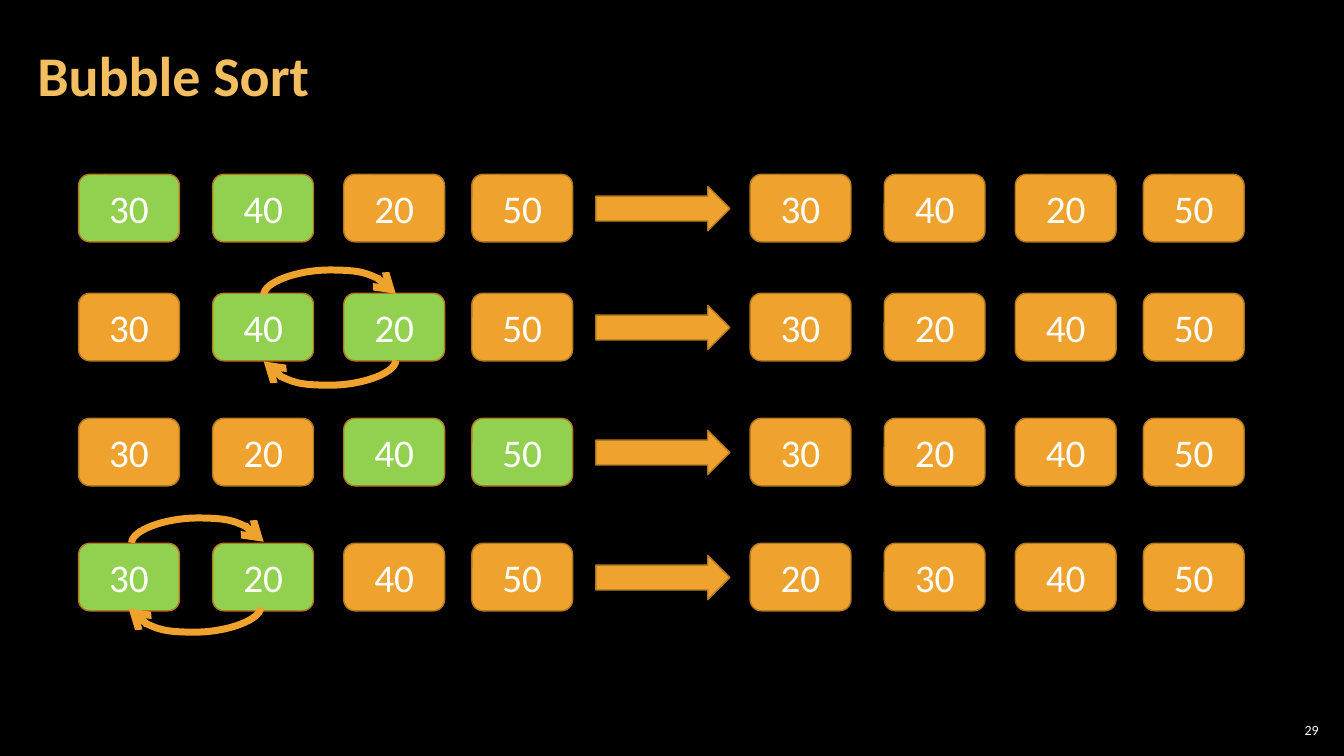
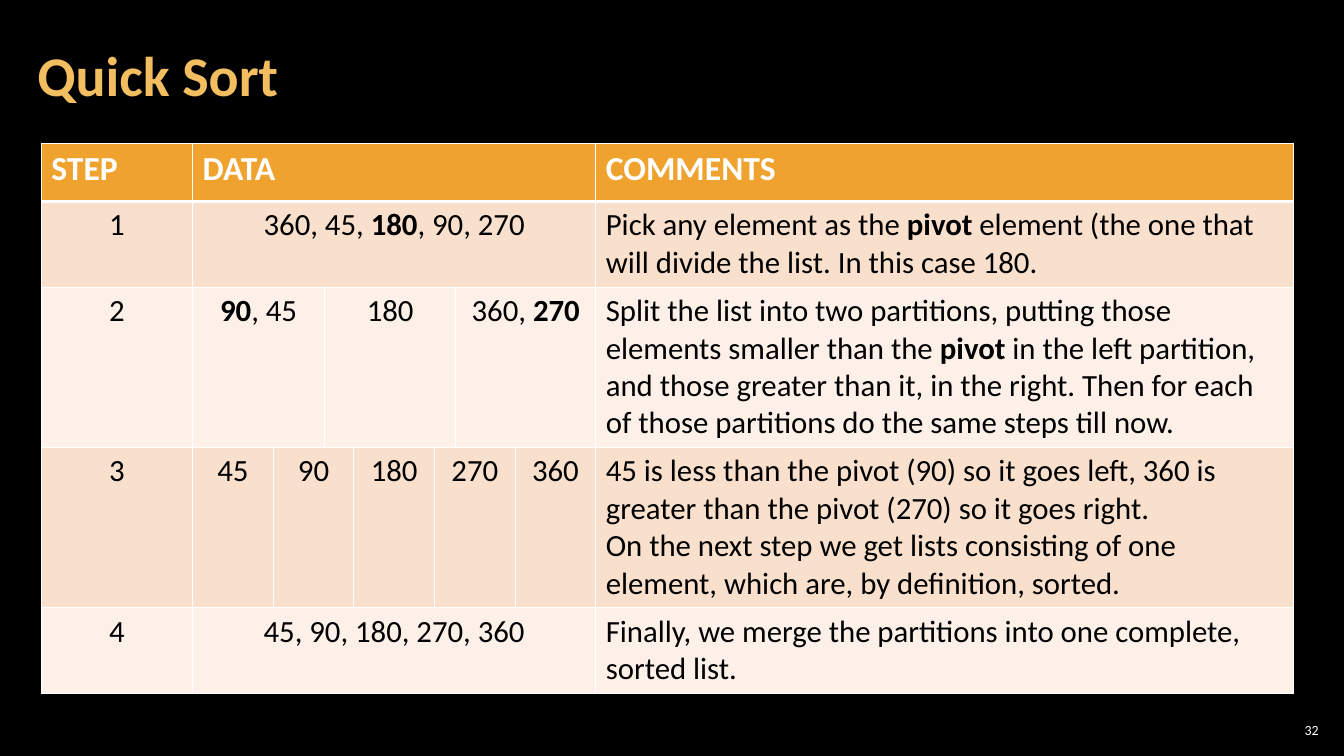
from lxml import etree
from pptx import Presentation
from pptx.dml.color import RGBColor
from pptx.enum.shapes import MSO_CONNECTOR, MSO_SHAPE
from pptx.enum.text import MSO_ANCHOR, PP_ALIGN
from pptx.oxml.ns import qn
from pptx.util import Inches, Pt

CURVE = MSO_CONNECTOR.CURVE
ROUNDED, ARROW = MSO_SHAPE.ROUNDED_RECTANGLE, MSO_SHAPE.RIGHT_ARROW
MIDDLE = MSO_ANCHOR.MIDDLE
LEFT, CENTER, RIGHT = PP_ALIGN.LEFT, PP_ALIGN.CENTER, PP_ALIGN.RIGHT

FONT = "Calibri"
BLACK, WHITE = "000000", "FFFFFF"
ORANGE, DARK_ORANGE, GOLD, GREEN = "F0A22E", "B27822", "F3BE60", "92D050"
BANDS = ("F9E0CD", "FCF0E8")

BUBBLE_STEPS = [
    {"top": 1.73, "before": (30, 40, 20, 50), "compared": (0, 1), "after": (30, 40, 20, 50)},
    {"top": 2.91, "before": (30, 40, 20, 50), "compared": (1, 2), "after": (30, 20, 40, 50)},
    {"top": 4.15, "before": (30, 20, 40, 50), "compared": (2, 3), "after": (30, 20, 40, 50)},
    {"top": 5.39, "before": (30, 20, 40, 50), "compared": (0, 1), "after": (20, 30, 40, 50)},
]
BOX_OFFSETS = (0, 1.33, 2.63, 3.9)
BEFORE_LEFT, AFTER_LEFT = 0.78, 7.44
SWAP_ARCS = [(3.27, 2.92, True), (3.27, 3.58, False), (1.96, 5.38, True), (1.93, 6.03, False)]
ARC_SPAN, ARC_DEPTH, ARC_OFFSET = 1.31, 0.25, 0.01

COLUMN_WIDTHS = (1.5, 0.8, 0.51, 0.29, 0.8, 0.21, 0.59, 0.8, 6.92)
ROW_HEIGHTS = (0.58, 0.85, 1.59, 1.59, 0.85)
HEADER = ("STEP", "DATA", "COMMENTS")
QUICK_STEPS = [
    ([(7, "360, 45, **180**, 90, 270")],
     "Pick any element as the **pivot** element (the one that will divide the list. In this case 180."),
    ([(2, "**90**, 45"), (3, "180"), (2, "360, **270**")],
     "Split the list into two partitions, putting those elements smaller than the **pivot **"
     "in the left partition, and those greater than it, in the right. "
     "Then for each of those partitions do the same steps till now."),
    ([(1, "45"), (2, "90"), (1, "180"), (2, "270"), (1, "360")],
     "45 is less than the pivot (90) so it goes left, 360 is greater than the pivot (270) so it goes right.\n"
     "On the next step we get lists consisting of one element, which are, by definition, sorted."),
    ([(7, "45, 90, 180, 270, 360")],
     "Finally, we merge the partitions into one complete, sorted list."),
]


def color(value):
    return RGBColor.from_string(value)


def write(frame, text, size, ink=WHITE, bold=False, align=LEFT, spacing=None):
    for index, line in enumerate(text.split("\n")):
        paragraph = frame.add_paragraph() if index else frame.paragraphs[0]
        paragraph.alignment = align
        if spacing:
            paragraph.line_spacing = spacing
        for part, words in enumerate(line.split("**")):
            if words:
                run = paragraph.add_run()
                run.text = words
                run.font.name = FONT
                run.font.size = Pt(size)
                run.font.bold = bold or part % 2 == 1
                run.font.color.rgb = color(ink)


def add_text(slide, box, text, side_inset, **text_format):
    frame = slide.shapes.add_textbox(*map(Inches, box)).text_frame
    frame.word_wrap = True
    frame.vertical_anchor = MIDDLE
    frame.margin_left = frame.margin_right = Inches(side_inset)
    frame.margin_top = frame.margin_bottom = Inches(0.04)
    write(frame, text, **text_format)


def add_slide(presentation, title, number):
    slide = presentation.slides.add_slide(presentation.slide_layouts[6])
    add_text(slide, (12.65, 7.14, 0.47, 0.21), number, 0.04, size=10, align=RIGHT)
    add_text(slide, (0.25, 0.17, 10.47, 1.21), title, 0.12,
             size=40, ink=GOLD, bold=True, spacing=0.9)
    return slide


def add_block(slide, kind, box, fill=ORANGE):
    shape = slide.shapes.add_shape(kind, *map(Inches, box))
    shape.shadow.inherit = False
    shape.fill.solid()
    shape.fill.fore_color.rgb = color(fill)
    shape.line.color.rgb = color(DARK_ORANGE)
    shape.line.width = Pt(1)
    return shape


def add_numbers(slide, left, top, numbers, compared=()):
    for index, (offset, number) in enumerate(zip(BOX_OFFSETS, numbers)):
        fill = GREEN if index in compared else ORANGE
        shape = add_block(slide, ROUNDED, (left + offset, top, 1, 0.67), fill)
        shape.text_frame.vertical_anchor = MIDDLE
        write(shape.text_frame, str(number), 28, align=CENTER)


def add_swap_arc(slide, center, middle, above):
    start = (center + ARC_OFFSET / 2, middle - ARC_SPAN / 2)
    end = (center - ARC_OFFSET / 2, middle + ARC_SPAN / 2)
    start = (center - ARC_OFFSET / 2, start[1])
    end = (center + ARC_OFFSET / 2, end[1])
    if above:
        start, end = end, start
    connector = slide.shapes.add_connector(CURVE, *map(Inches, start + end))
    connector.line.color.rgb = color(ORANGE)
    connector.line.width = Pt(5)
    properties = connector._element.spPr
    properties.find(qn("a:xfrm")).set("rot", "5400000")
    guide = etree.SubElement(properties.find(qn("a:prstGeom")).find(qn("a:avLst")), qn("a:gd"))
    guide.set("name", "adj1")
    guide.set("fmla", f"val {round(ARC_DEPTH / ARC_OFFSET * 100000)}")
    etree.SubElement(properties.find(qn("a:ln")), qn("a:tailEnd")).set("type", "arrow")
    etree.SubElement(properties, qn("a:effectLst"))


def set_borders(cell, row):
    properties = cell._tc.get_or_add_tcPr()
    thick_side = {0: "lnB", 1: "lnT"}.get(row)
    for index, side in enumerate(("lnL", "lnR", "lnT", "lnB")):
        line = etree.Element(qn(f"a:{side}"), w=str(Pt(3 if side == thick_side else 1)))
        fill = etree.SubElement(line, qn("a:solidFill"))
        etree.SubElement(fill, qn("a:srgbClr"), val=WHITE)
        properties.insert(index, line)


def build_bubble_sort(presentation):
    slide = add_slide(presentation, "Bubble Sort", "29")
    for step in BUBBLE_STEPS:
        top = step["top"]
        add_numbers(slide, BEFORE_LEFT, top, step["before"], step["compared"])
        add_numbers(slide, AFTER_LEFT, top, step["after"])
        arrow = add_block(slide, ARROW, (5.91, top + 0.12, 1.33, 0.44))
        arrow.adjustments[0] = 0.56
    for arc in SWAP_ARCS:
        add_swap_arc(slide, *arc)


def build_quick_sort(presentation):
    slide = add_slide(presentation, "Quick Sort", "32")
    box = (0.41, 1.42, sum(COLUMN_WIDTHS), sum(ROW_HEIGHTS))
    table = slide.shapes.add_table(
        len(ROW_HEIGHTS), len(COLUMN_WIDTHS), *map(Inches, box)).table
    for column, width in zip(table.columns, COLUMN_WIDTHS):
        column.width = Inches(width)
    for row, height in zip(table.rows, ROW_HEIGHTS):
        row.height = Inches(height)

    step_label, data_label, comments_label = HEADER
    rows = [[(1, step_label), (7, data_label), (1, comments_label)]]
    for number, (data, comment) in enumerate(QUICK_STEPS, 1):
        rows.append([(1, str(number)), *data, (1, comment)])

    last_column = len(COLUMN_WIDTHS) - 1
    for row, entries in enumerate(rows):
        for column in range(len(COLUMN_WIDTHS)):
            cell = table.cell(row, column)
            cell.fill.solid()
            cell.fill.fore_color.rgb = color(BANDS[(row - 1) % 2] if row else ORANGE)
            set_borders(cell, row)
        column = 0
        for span, text in entries:
            cell = table.cell(row, column)
            if span > 1:
                cell.merge(table.cell(row, column + span - 1))
            if row == 0:
                write(cell.text_frame, text, 24, bold=True)
            else:
                align = LEFT if column == last_column else CENTER
                write(cell.text_frame, text, 22, ink=BLACK, align=align)
            column += span


def main():
    presentation = Presentation()
    presentation.slide_width = Inches(13.33)
    presentation.slide_height = Inches(7.5)
    background = presentation.slide_master.background.fill
    background.solid()
    background.fore_color.rgb = color(BLACK)
    build_bubble_sort(presentation)
    build_quick_sort(presentation)
    presentation.save("out.pptx")


if __name__ == "__main__":
    main()
